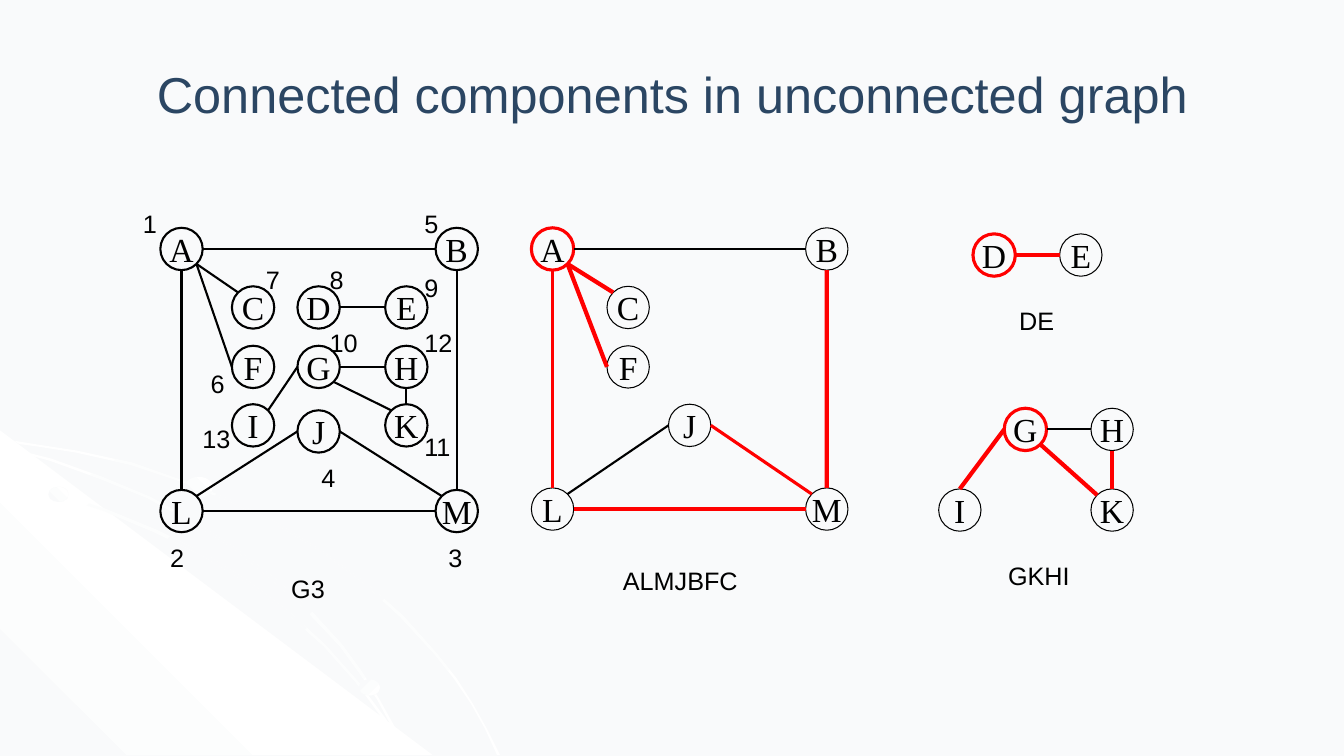
from copy import deepcopy
from math import cos, radians, sin

from pptx import Presentation
from pptx.dml.color import RGBColor
from pptx.enum.shapes import MSO_CONNECTOR, MSO_SHAPE
from pptx.enum.text import MSO_ANCHOR as ANCHOR, PP_ALIGN as ALIGN
from pptx.oxml.ns import qn
from pptx.oxml.xmlchemy import OxmlElement
from pptx.util import Inches, Pt

BLACK, RED, NAVY, WHITE, MIST = "000000", "FF0000", "2B4663", "FFFFFF", "F9FAFB"
NODE_SIZE = 0.42
SITE_ANGLES = {"right": 0, "low right": 45, "bottom": 90, "low left": 135,
               "left": 180, "high left": 225, "top": 270, "high right": 315}

RIBBONS = [
    [(0.76, 4.47), (0.37, 4.41), (0, 4.35), (0, 4.38), (0.37, 4.43), (0.75, 4.49),
     (1.29, 4.61), (1.8, 4.78), (2.31, 4.99), (2.78, 5.23), (3.21, 5.49), (3.61, 5.79),
     (3.97, 6.12), (4.31, 6.49), (4.5, 6.73), (4.67, 6.98), (4.81, 7.23), (4.93, 7.49),
     (4.96, 7.49), (4.83, 7.23), (4.69, 6.98), (4.53, 6.73), (4.33, 6.48), (4, 6.11),
     (3.63, 5.78), (3.22, 5.48), (2.79, 5.21), (2.32, 4.97), (1.82, 4.77), (1.31, 4.59)],
    [(3.8, 7.14), (3.92, 7.32), (4.01, 7.49), (4.04, 7.49), (3.94, 7.3), (3.82, 7.12),
     (3.55, 6.76), (3.23, 6.4), (2.86, 6.06), (2.46, 5.76), (2.03, 5.49), (1.56, 5.26),
     (1.05, 5.05), (0.54, 4.88), (0, 4.75), (0, 4.77), (0.51, 4.9), (1.03, 5.07),
     (1.53, 5.28), (2, 5.51), (2.44, 5.78), (2.84, 6.08), (3.21, 6.41), (3.53, 6.77)],
    [(0, 4.42), (0, 4.44), (0.49, 4.57), (0.99, 4.75), (1.46, 4.94), (1.89, 5.18),
     (2.31, 5.44), (2.69, 5.75), (3.03, 6.05), (3.37, 6.41), (3.56, 6.67), (3.74, 6.94),
     (3.89, 7.22), (4.01, 7.49), (4.04, 7.49), (3.91, 7.2), (3.76, 6.93), (3.58, 6.65),
     (3.39, 6.39), (3.06, 6.03), (2.72, 5.73), (2.33, 5.43), (1.91, 5.16), (1.49, 4.93),
     (1.01, 4.73), (0.51, 4.55)],
]
CORNER = [(4.29, 7.49), (0, 7.49), (0, 4.27)]
DOTS = [(0.48, 4.83, 0.2, 0.15, 45), (3.56, 6.74, 0.21, 0.16, 315),
        (1.83, 4.73, 0.28, 0.21, 45)]

G3_NODES = {"A": (1.59, 2.26), "B": (4.32, 2.26), "L": (1.59, 4.86), "M": (4.32, 4.86),
            "C": (2.3, 2.84), "F": (2.3, 3.43), "I": (2.3, 4.01), "D": (2.95, 2.84),
            "E": (3.82, 2.84), "G": (2.95, 3.43), "H": (3.82, 3.43), "J": (2.95, 4.07),
            "K": (3.82, 4.01)}
G3_EDGES = [(*ends, BLACK, 1.5) for ends in (
    ("A", "right", "B", "left"), ("A", "bottom", "L", "top"),
    ("L", "right", "M", "left"), ("M", "top", "B", "bottom"),
    ("L", "high right", "J", "left"), ("J", "right", "M", "high left"),
    ("I", "high right", "G", "left"), ("A", "low right", "C", "high left"),
    ("A", "low right", "F", "left"), ("D", "right", "E", "left"),
    ("G", "right", "H", "left"), ("H", "bottom", "K", "top"),
    ("G", "low right", "K", "high left"))]
VISIT_ORDER = [(1.32, 2.02), (1.59, 5.33), (4.35, 5.33), (3.09, 4.54), (4.11, 2.02),
               (1.99, 3.6), (2.54, 2.57), (3.17, 2.57), (4.11, 2.65), (3.17, 3.2),
               (4.11, 4.23), (4.11, 3.2), (1.91, 4.15)]

ALMJBFC_NODES = {"A": (5.27, 2.26), "B": (7.99, 2.26), "L": (5.27, 4.84),
                 "M": (7.99, 4.84), "C": (6.02, 2.84), "F": (6.02, 3.43),
                 "J": (6.63, 4.01)}
ALMJBFC_EDGES = [
    ("A", "right", "B", "left", BLACK, 1.5), ("A", "bottom", "L", "top", RED, 2.25),
    ("L", "right", "M", "left", RED, 3), ("M", "top", "B", "bottom", RED, 3),
    ("L", "high right", "J", "left", BLACK, 1.5),
    ("J", "right", "M", "high left", RED, 2.25),
    ("A", "low right", "C", "high left", RED, 3), ("A", "low right", "F", "left", RED, 3)]

DE_NODES = {"D": (9.65, 2.32), "E": (10.51, 2.32)}
DE_EDGES = [("D", "right", "E", "left", RED, 3)]

GKHI_NODES = {"I": (9.31, 4.85), "G": (9.96, 4.05), "H": (10.82, 4.05), "K": (10.82, 4.85)}
GKHI_EDGES = [
    ("I", "top", "G", "left", RED, 3), ("G", "low right", "K", "high left", RED, 3),
    ("H", "bottom", "K", "top", RED, 3), ("G", "right", "H", "left", BLACK, 1.5)]


def paint(color_format, hex_color):
    """Give a fill, line or font colour its hex value."""
    color_format.rgb = RGBColor.from_string(hex_color)


def write(paragraph, text, size, font_name, hex_color):
    """Add one formatted run to a paragraph."""
    run = paragraph.add_run()
    run.text = text
    run.font.size = Pt(size)
    run.font.name = font_name
    paint(run.font.color, hex_color)


def shade(decoration, colors, angle):
    """Fill a borderless decoration with evenly spaced gradient colours."""
    decoration.shadow.inherit = False
    decoration.line.fill.background()
    decoration.fill.gradient()
    decoration.fill.gradient_angle = angle
    stop_list = decoration.fill._xPr.find(qn("a:gradFill")).find(qn("a:gsLst"))
    while len(stop_list) < len(colors):
        stop_list.append(deepcopy(stop_list[0]))
    for index, (stop, color) in enumerate(zip(decoration.fill.gradient_stops, colors)):
        paint(stop.color, color)
        stop.position = index / (len(colors) - 1)


def add_outline(shapes, points, colors, angle):
    """Draw a closed gradient outline through points in inches."""
    start, *rest = [(Inches(x), Inches(y)) for x, y in points]
    builder = shapes.build_freeform(*start)
    builder.add_line_segments(rest, close=True)
    shade(builder.convert_to_shape(), colors, angle)


def add_backdrop(shapes):
    """Draw the pale ribbons, corner and dots at the lower left."""
    add_outline(shapes, RIBBONS[0], (WHITE, MIST, WHITE), 315)
    add_outline(shapes, CORNER, (MIST, WHITE, MIST), 45)
    for ribbon in RIBBONS[1:]:
        add_outline(shapes, ribbon, (WHITE, MIST, WHITE), 315)
    for *box, angle in DOTS:
        dot = shapes.add_shape(MSO_SHAPE.OVAL, *map(Inches, box))
        shade(dot, (MIST, WHITE), angle)


def add_node(shapes, letter, position, color, weight):
    """Draw a lettered circle."""
    node = shapes.add_shape(MSO_SHAPE.OVAL, *map(Inches, (*position, NODE_SIZE, NODE_SIZE)))
    node.shadow.inherit = False
    node.fill.background()
    paint(node.line.color, color)
    node.line.width = Pt(weight)
    frame = node.text_frame
    frame.word_wrap = False
    frame.vertical_anchor = ANCHOR.MIDDLE
    frame.paragraphs[0].alignment = ALIGN.CENTER
    write(frame.paragraphs[0], letter, 24, "Times New Roman", BLACK)


def site_point(position, site):
    """Return the point of a node's rim at a named site."""
    angle, radius = radians(SITE_ANGLES[site]), NODE_SIZE / 2
    left, top = position
    return (Inches(left + radius * (1 + cos(angle))), Inches(top + radius * (1 + sin(angle))))


def add_edge(shapes, start, end, color, weight):
    """Draw a straight edge between two rim points."""
    edge = shapes.add_connector(MSO_CONNECTOR.STRAIGHT, *start, *end)
    paint(edge.line.color, color)
    edge.line.width = Pt(weight)
    edge._element.spPr.append(OxmlElement("a:effectLst"))


def add_label(shapes, text, left, top, width, wrap):
    """Add a number or caption in black Arial."""
    label = shapes.add_textbox(*map(Inches, (left, top, width, 0.4)))
    label.text_frame.word_wrap = wrap
    write(label.text_frame.paragraphs[0], text, 18, "Arial", BLACK)


def add_graph(slide, nodes, edges, caption, rim_weight, root=None):
    """Draw a captioned graph as one group, its root ringed in red."""
    shapes = slide.shapes.add_group_shape().shapes
    for letter, position in nodes.items():
        rim = (RED, 2.25) if letter == root else (BLACK, rim_weight)
        add_node(shapes, letter, position, *rim)
    for source, source_site, target, target_site, color, weight in edges:
        add_edge(shapes, site_point(nodes[source], source_site),
                 site_point(nodes[target], target_site), color, weight)
    add_label(shapes, *caption, True)
    return shapes


def main():
    """Build the slide and save it."""
    deck = Presentation()
    deck.slide_width, deck.slide_height = Inches(13.33), Inches(7.5)
    slide = deck.slides.add_slide(deck.slide_layouts[5])
    slide.background.fill.solid()
    paint(slide.background.fill.fore_color, MIST)
    add_backdrop(slide.shapes.add_group_shape().shapes)

    title = slide.shapes.title
    title.left, title.top, title.width, title.height = map(Inches, (0.67, 0.3, 12, 1.25))
    title.text_frame.vertical_anchor = ANCHOR.MIDDLE
    heading = title.text_frame.paragraphs[0]
    heading.alignment = ALIGN.CENTER
    write(heading, "Connected components in unconnected graph", 36, "Arial", NAVY)

    g3 = add_graph(slide, G3_NODES, G3_EDGES, ("G3", 2.79, 5.64, 0.64), 1.5)
    for number, position in enumerate(VISIT_ORDER, 1):
        add_label(g3, str(number), *position, 0.34 if number < 10 else 0.48, False)
    add_graph(slide, ALMJBFC_NODES, ALMJBFC_EDGES, ("ALMJBFC", 6.08, 5.56, 1.37), 0.75, "A")
    add_graph(slide, DE_NODES, DE_EDGES, ("DE", 10.01, 2.98, 0.78), 0.75, "D")
    add_graph(slide, GKHI_NODES, GKHI_EDGES, ("GKHI", 9.9, 5.51, 0.89), 0.75, "G")
    deck.save("out.pptx")


if __name__ == "__main__":
    main()
